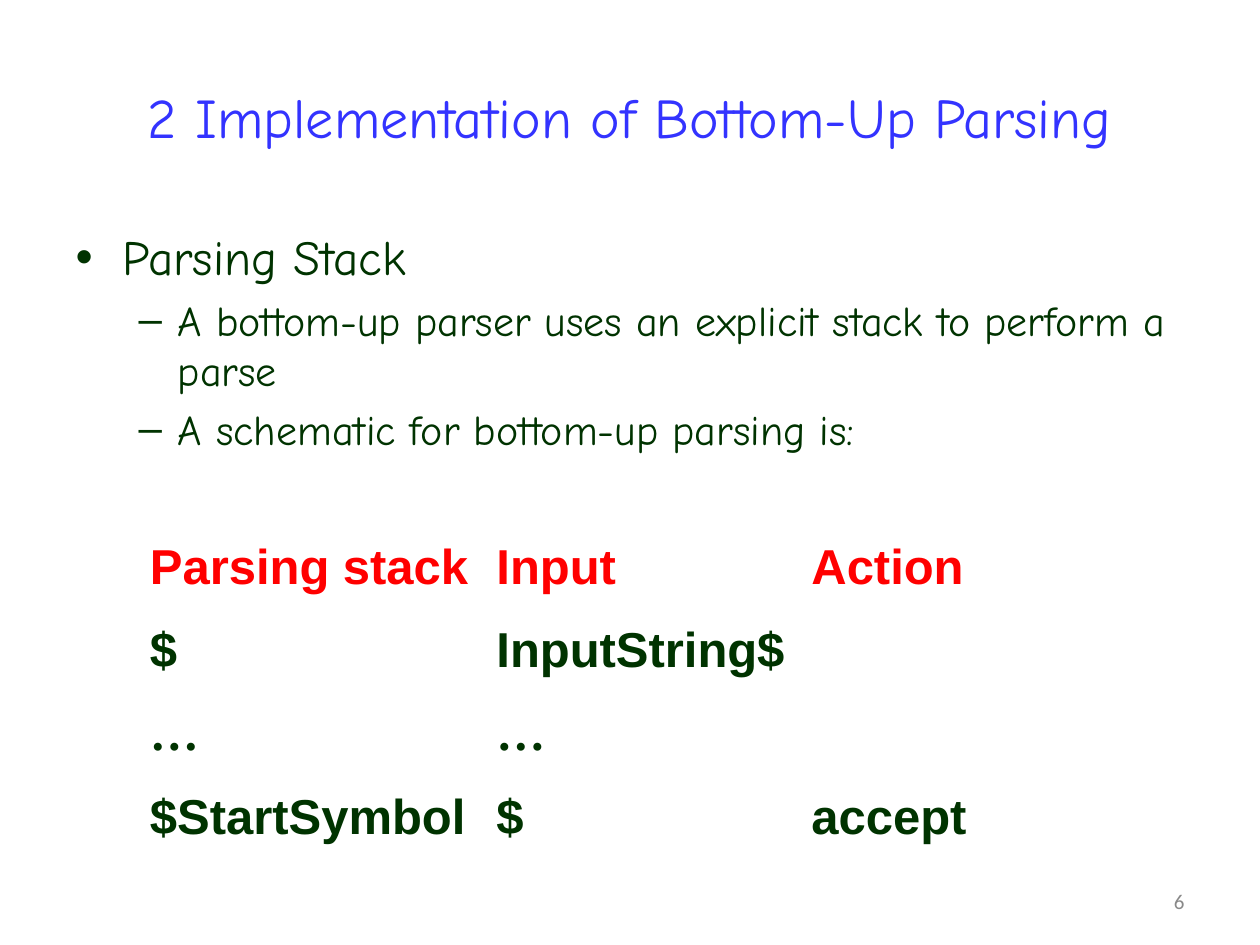
from pptx import Presentation
from pptx.dml.color import RGBColor
from pptx.enum.text import MSO_ANCHOR, MSO_AUTO_SIZE, PP_ALIGN
from pptx.util import Inches, Pt

CENTER, RIGHT = PP_ALIGN.CENTER, PP_ALIGN.RIGHT
MIDDLE = MSO_ANCHOR.MIDDLE
NO_FIT = MSO_AUTO_SIZE.NONE
TITLE_AND_CONTENT = 1

COLORS = {
    "title": "3333FF",
    "text": "003300",
    "header": "FF0000",
    "number": "898989",
    "cell": "FFFFFF",
}
BODY_FONT, TABLE_FONT, DOTS_FONT, NUMBER_FONT = (
    "Comic Neue", "Arial", "Times New Roman", "Calibri")

BULLETS = [
    (0, "Parsing Stack"),
    (1, "A bottom-up parser uses an explicit stack to perform a parse"),
    (1, "A schematic for bottom-up parsing is:"),
]
BULLET_SIZES = [28, 24]
COLUMN_WIDTHS = [2.75, 2.5, 1.5]
ROW_HEIGHT = 0.66
PARSE_STEPS = [
    ["Parsing stack", "Input", "Action"],
    ["$", "InputString$", ""],
    ["…", "…", ""],
    ["$StartSymbol", "$", "accept"],
]


def style(p, font, size, color, bold=False):
    p.font.name = font
    p.font.size = Pt(size)
    p.font.bold = bold
    p.font.color.rgb = RGBColor.from_string(COLORS[color])


def place(sp, left, top, width, height):
    sp.left, sp.top = Inches(left), Inches(top)
    sp.width, sp.height = Inches(width), Inches(height)


def add_title(s, text, *box):
    sp = s.shapes.title
    place(sp, *box)
    tf = sp.text_frame
    tf.text = text
    tf.auto_size = NO_FIT
    tf.vertical_anchor = MIDDLE
    p = tf.paragraphs[0]
    p.alignment = CENTER
    style(p, BODY_FONT, 32, "title")


def add_bullets(s, bullets, *box):
    """Fill the body placeholder, whose layout supplies bullets and indents."""
    sp = s.placeholders[1]
    place(sp, *box)
    tf = sp.text_frame
    tf.auto_size = NO_FIT
    for i, (level, text) in enumerate(bullets):
        p = tf.add_paragraph() if i else tf.paragraphs[0]
        p.text = text
        p.level = level
        style(p, BODY_FONT, BULLET_SIZES[level], "text")


def add_parse_table(s, rows, left, top):
    frame = s.shapes.add_table(
        len(rows), len(COLUMN_WIDTHS), Inches(left), Inches(top),
        Inches(sum(COLUMN_WIDTHS)), Inches(ROW_HEIGHT * len(rows)))
    table = frame.table
    table.first_row = table.horz_banding = False
    for column, width in zip(table.columns, COLUMN_WIDTHS):
        column.width = Inches(width)
    for i, row in enumerate(rows):
        for j, text in enumerate(row):
            cell = table.cell(i, j)
            cell.fill.solid()
            cell.fill.fore_color.rgb = RGBColor.from_string(COLORS["cell"])
            cell.text = text
            style(cell.text_frame.paragraphs[0],
                  DOTS_FONT if text == "…" else TABLE_FONT, 28,
                  "text" if i else "header", bold=True)


def add_slide_number(s, number, *box):
    tf = s.shapes.add_textbox(*map(Inches, box)).text_frame
    tf.word_wrap = True
    tf.vertical_anchor = MIDDLE
    p = tf.paragraphs[0]
    p.text = str(number)
    p.alignment = RIGHT
    style(p, NUMBER_FONT, 12, "number")


def main():
    prs = Presentation()
    prs.slide_width, prs.slide_height = Inches(10), Inches(7.5)
    s = prs.slides.add_slide(prs.slide_layouts[TITLE_AND_CONTENT])
    add_title(s, "2 Implementation of Bottom-Up Parsing", 0.5, 0.3, 9, 1.25)
    add_bullets(s, BULLETS, 0.5, 1.75, 9, 4.95)
    add_parse_table(s, PARSE_STEPS, 1.09, 4.24)
    add_slide_number(s, 6, 7.17, 6.95, 2.33, 0.4)
    prs.save("out.pptx")


if __name__ == "__main__":
    main()
